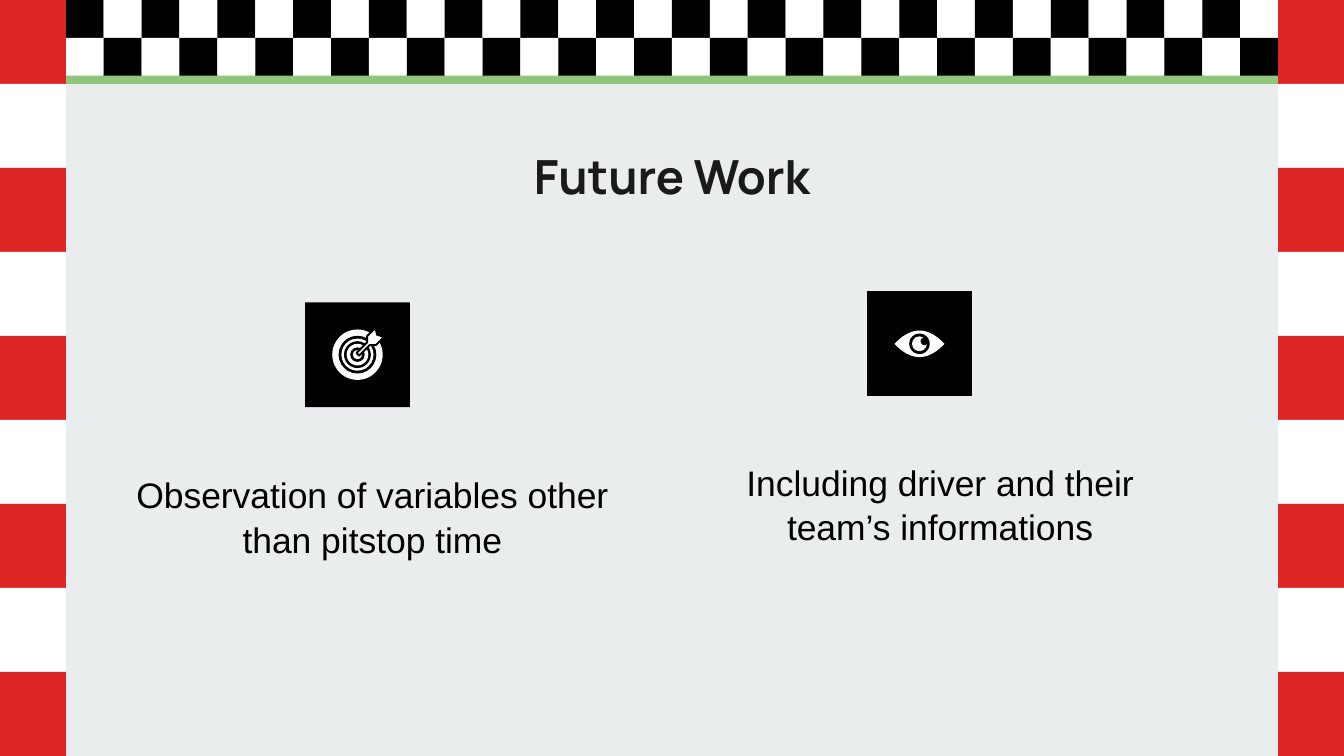
from pptx import Presentation
from pptx import util as u
from pptx.dml.color import RGBColor
from pptx.enum import shapes, text

Pt = u.Pt
BLACK, WHITE, RED = "000000", "FFFFFF", "DC2525"


def paint(sp, color):
    sp.shadow.inherit = False
    sp.fill.solid()
    sp.fill.fore_color.rgb = RGBColor.from_string(color)
    sp.line.fill.background()
    return sp


def add(kind, x, y, w, h, color):
    return paint(s.shapes.add_shape(kind, Pt(x), Pt(y), Pt(w), Pt(h)), color)


prs = Presentation()
prs.slide_width, prs.slide_height = Pt(720), Pt(405)
s = prs.slides.add_slide(prs.slide_layouts[5])
s.background.fill.solid()
s.background.fill.fore_color.rgb = RGBColor.from_string("E9EDEE")
RECT, OVAL = shapes.MSO_SHAPE.RECTANGLE, shapes.MSO_SHAPE.OVAL

left, right = 35.3, 684.7
add(RECT, left, 39.9, right - left, 5.1, "93C47D")
cell = (right - left) / 32
for row in range(2):
    for col in range(32):
        color = WHITE if (row + col) % 2 else BLACK
        add(RECT, left + col * cell, row * cell, cell, cell, color)

for x in (left - 36.6, right):
    for i in range(9):
        add(RECT, x, i * 45, 36.6, 45, WHITE if i % 2 else RED)

title = s.shapes.title
title.left, title.top, title.width, title.height = Pt(24.5), Pt(71.3), Pt(671), Pt(45.4)
tf = title.text_frame
tf.text = "Future Work"
tf.vertical_anchor = text.MSO_ANCHOR.MIDDLE
p = tf.paragraphs[0]
p.alignment = text.PP_ALIGN.CENTER
f = p.runs[0].font
f.name, f.size, f.bold = "Manrope", Pt(25.2), True
f.color.rgb = RGBColor.from_string("1A1A1A")

captions = [
    ("Observation of variables other than pitstop time", 63.4, 252.7, 272.2, 77),
    ("Including driver and their team’s informations", 391.7, 246.2, 223.9, 67.7),
]
for words, x, y, w, h in captions:
    tf = s.shapes.add_textbox(Pt(x), Pt(y), Pt(w), Pt(h)).text_frame
    tf.word_wrap = True
    tf.margin_top = tf.margin_bottom = 0
    tf.text = words
    p = tf.paragraphs[0]
    p.alignment = text.PP_ALIGN.CENTER
    p.line_spacing = 1.04
    f = p.runs[0].font
    f.name, f.size = "Arial", Pt(19)
    f.color.rgb = RGBColor.from_string(BLACK)

target_x, target_y = 191.5, 190
add(RECT, 163.5, 162, 56.1, 56.1, BLACK)
for i, r in enumerate((13.5, 10.1, 8.6, 7.2, 5.8, 3.9, 2.4)):
    add(OVAL, target_x - r, target_y - r, 2 * r, 2 * r, BLACK if i % 2 else WHITE)

dart = [(-0.5, -0.9), (5.2, -6.6), (5.2, -10), (9.6, -14.2), (10.6, -10.6),
        (14.2, -9.6), (10, -5.2), (6.6, -5.2), (0.9, 0.5)]
points = [(Pt(target_x + x), Pt(target_y + y)) for x, y in dart]
fb = s.shapes.build_freeform(*points[0])
fb.add_line_segments(points[1:])
sp = paint(fb.convert_to_shape(), WHITE)
sp.line.color.rgb = RGBColor.from_string(BLACK)
sp.line.width = Pt(1)

eye_x, eye_y = 492.6, 184.2
add(RECT, 464.5, 156, 56.1, 56.1, BLACK)
steps = [i / 10 for i in range(-10, 11)]
lids = [(t, t * t - 1) for t in steps] + [(-t, 1 - t * t) for t in steps]
points = [(Pt(eye_x + 13.4 * x), Pt(eye_y + 7.1 * y)) for x, y in lids]
fb = s.shapes.build_freeform(*points[0])
fb.add_line_segments(points[1:])
paint(fb.convert_to_shape(), WHITE)
for dx, dy, r, color in ((0, 0, 5.5, BLACK), (0, 0, 4, WHITE), (2.7, -1.4, 2.1, BLACK)):
    add(OVAL, eye_x + dx - r, eye_y + dy - r, 2 * r, 2 * r, color)

prs.save("out.pptx")
